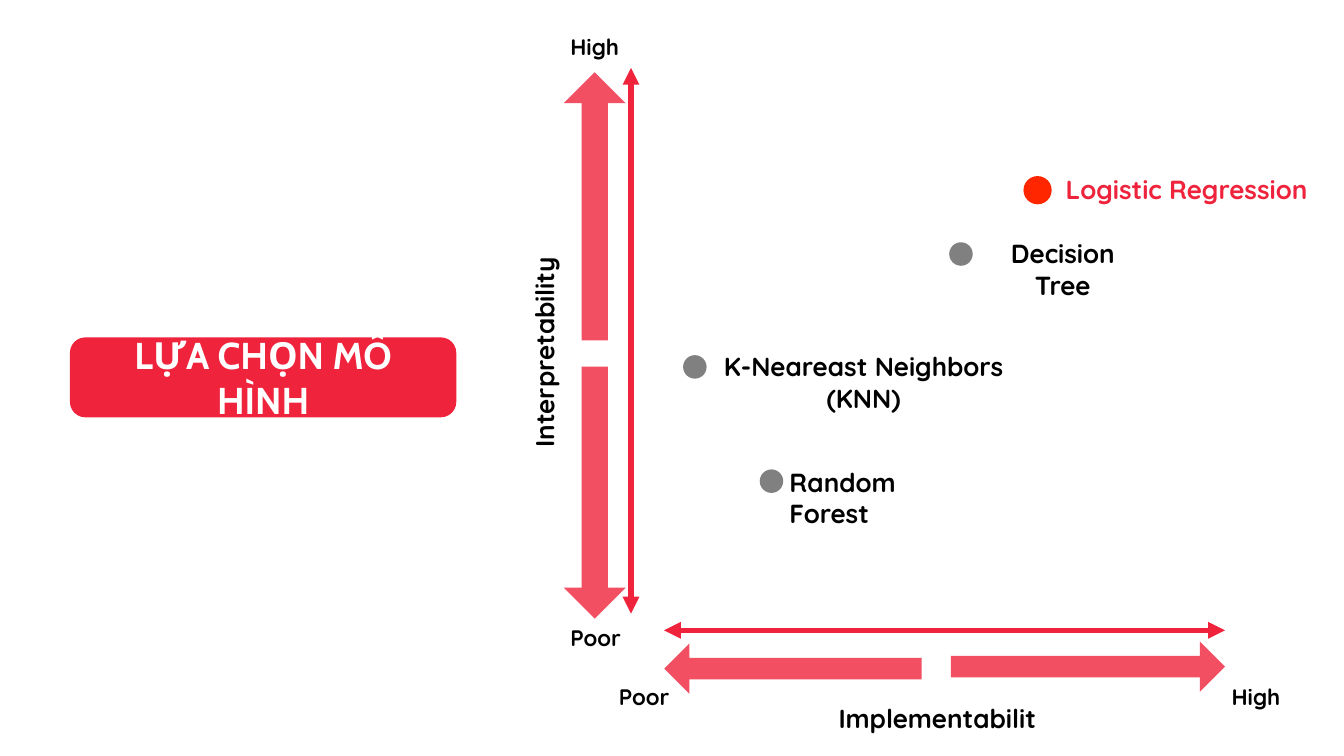
from lxml import etree
from pptx import Presentation
from pptx.dml.color import RGBColor
from pptx.enum.shapes import MSO_CONNECTOR, MSO_SHAPE
from pptx.enum.text import MSO_ANCHOR, PP_ALIGN
from pptx.oxml.ns import qn
from pptx.util import Inches, Pt

STRAIGHT = MSO_CONNECTOR.STRAIGHT
ROUNDED, DOWN_ARROW, OVAL = MSO_SHAPE.ROUNDED_RECTANGLE, MSO_SHAPE.DOWN_ARROW, MSO_SHAPE.OVAL
LEFT, CENTER = PP_ALIGN.LEFT, PP_ALIGN.CENTER
MIDDLE = MSO_ANCHOR.MIDDLE

# The slide is a grid of 20 columns by 11.25 rows, one inch each.
COLUMNS, ROWS = 20, 11.25
TITLE_BOX = (1.04, 5.02, 5.75, 1.19)
VERTICAL_BOX = (8.39, 1.01, 1, 8.12)
HORIZONTAL_BOX = (9.88, 9.38, 8.35, 1.6)
PLOT_BOX = (9.88, 1.01, 8.35, 8.12)

RED, BRIGHT_RED, GRAY, BLACK, WHITE = "EF243C", "FF2600", "808080", "000000", "FFFFFF"
END_SIZE, LABEL_SIZE = 24, 28

# Dot centre, dot diameter, dot colour, label offset, label width, alignment, colour, lines
MODELS = [
    ((5.56, 1.82), 0.42, BRIGHT_RED, (5.88, 1.52), 4.42, LEFT, RED, ["Logistic Regression"]),
    ((4.42, 2.77), 0.35, GRAY, (4.6, 2.48), 2.67, CENTER, BLACK, ["Decision Tree"]),
    ((0.46, 4.45), 0.35, GRAY, (0.76, 4.16), 4.42, CENTER, BLACK,
     ["K-Neareast Neighbors ", "(KNN)"]),
    ((1.6, 6.15), 0.35, GRAY, (1.77, 5.88), 3.05, LEFT, BLACK, ["Random Forest"]),
]


def color(value):
    return RGBColor.from_string(value)


def add_filled(slide, kind, left, top, width, height, fill):
    shape = slide.shapes.add_shape(kind, Inches(left), Inches(top), Inches(width), Inches(height))
    shape.shadow.inherit = False
    shape.fill.solid()
    shape.fill.fore_color.rgb = color(fill)
    shape.line.fill.background()
    return shape


def write(frame, lines, font, size, text_color, alignment):
    frame.word_wrap = True
    for index, line in enumerate(lines):
        paragraph = frame.add_paragraph() if index else frame.paragraphs[0]
        paragraph.alignment = alignment
        run = paragraph.add_run()
        run.text = line
        run.font.name = font
        run.font.size = Pt(size)
        run.font.bold = True
        run.font.color.rgb = color(text_color)


def add_label(slide, left, top, width, lines, size=LABEL_SIZE, text_color=BLACK, alignment=LEFT):
    height = len(lines) * size / 60 + 0.1
    label = slide.shapes.add_textbox(Inches(left), Inches(top), Inches(width), Inches(height))
    write(label.text_frame, lines, "Quicksand", size, text_color, alignment)
    return label


def add_block_arrow(slide, center_x, center_y, width, length, rotation):
    """Place a see-through arrow that points down before it is rotated."""
    arrow = add_filled(slide, DOWN_ARROW, center_x - width / 2, center_y - length / 2,
                       width, length, RED)
    arrow.adjustments[0] = 0.426
    arrow.adjustments[1] = 0.5
    arrow.rotation = rotation
    fill_color = arrow.fill._xPr.find(qn("a:solidFill"))[0]
    etree.SubElement(fill_color, qn("a:alpha"), val="80000")


def add_double_arrow(slide, start_x, start_y, end_x, end_y):
    connector = slide.shapes.add_connector(
        STRAIGHT, Inches(start_x), Inches(start_y), Inches(end_x), Inches(end_y))
    connector.line.color.rgb = color(RED)
    connector.line.width = Pt(6)
    line = connector.line._get_or_add_ln()
    for end in ("a:headEnd", "a:tailEnd"):
        etree.SubElement(line, qn(end), type="triangle")
    etree.SubElement(connector._element.spPr, qn("a:effectLst"))


def add_title(slide, box):
    title = add_filled(slide, ROUNDED, *box, RED)
    title.adjustments[0] = 0.193
    frame = title.text_frame
    frame.margin_left = frame.margin_right = Inches(0.2)
    frame.margin_top = frame.margin_bottom = Inches(0.2)
    frame.vertical_anchor = MIDDLE
    write(frame, ["LỰA CHỌN MÔ HÌNH"], "Cabin", 40, WHITE, CENTER)


def add_vertical_axis(slide, box):
    left, top, width, height = box
    right, bottom = left + width, top + height
    add_block_arrow(slide, left + 0.46, top + 2.06, 0.92, 3.99, 180)
    add_block_arrow(slide, left + 0.46, top + 6.32, 0.92, 3.75, 0)
    add_double_arrow(slide, right, top, right, bottom)
    add_label(slide, left, top - 0.57, 1, ["High"], END_SIZE)
    add_label(slide, left, bottom + 0.11, 1, ["Poor"], END_SIZE)
    caption = add_label(slide, left - 1.82, top + 3.94, 3.05, ["Interpretability"])
    caption.rotation = 270


def add_horizontal_axis(slide, box):
    left, top, width, _ = box
    right = left + width
    add_block_arrow(slide, left + 1.92, top + 0.57, 0.75, 3.83, 90)
    add_block_arrow(slide, right - 2.04, top + 0.54, 0.75, 4.08, 270)
    add_double_arrow(slide, right, top, left, top)
    add_label(slide, left - 0.77, top + 0.74, 1, ["Poor"], END_SIZE)
    add_label(slide, right, top + 0.74, 1, ["High"], END_SIZE)
    add_label(slide, left + 2.5, top + 1.03, 3.26, ["Implementabilit"])


def add_models(slide, box):
    left, top = box[:2]
    for (x, y), size, fill, (label_x, label_y), width, alignment, text_color, lines in MODELS:
        add_filled(slide, OVAL, left + x - size / 2, top + y - size / 2, size, size, fill)
        add_label(slide, left + label_x, top + label_y, width, lines,
                  text_color=text_color, alignment=alignment)


def main():
    presentation = Presentation()
    presentation.slide_width = Inches(COLUMNS)
    presentation.slide_height = Inches(ROWS)
    slide = presentation.slides.add_slide(presentation.slide_layouts[6])
    add_title(slide, TITLE_BOX)
    add_vertical_axis(slide, VERTICAL_BOX)
    add_horizontal_axis(slide, HORIZONTAL_BOX)
    add_models(slide, PLOT_BOX)
    presentation.save("out.pptx")


if __name__ == "__main__":
    main()
